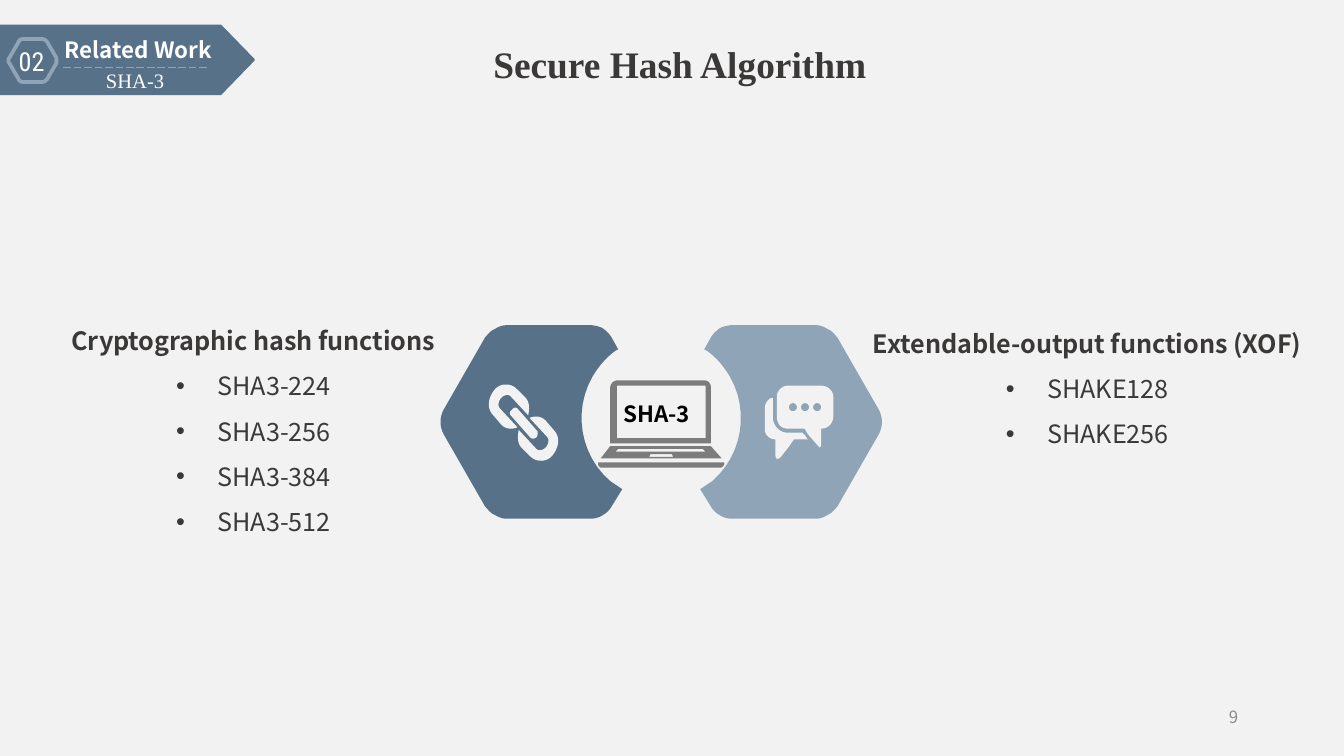
from dataclasses import dataclass
from math import cos, pi, sin
from typing import Callable, Optional

from lxml.etree import SubElement
from pptx import Presentation
from pptx.dml.color import RGBColor
from pptx.enum.dml import MSO_LINE
from pptx.enum.shapes import MSO_CONNECTOR, MSO_SHAPE
from pptx.enum.text import MSO_AUTO_SIZE, PP_ALIGN
from pptx.oxml.ns import qn
from pptx.util import Inches, Pt

Contour = list[tuple[float, ...]]
Placement = Callable[[float, float], tuple[float, float]]


@dataclass(frozen=True)
class Theme:
    background: str = "F2F2F2"
    dark_blue: str = "577188"
    light_blue: str = "8FA4B7"
    laptop: str = "7C7C7C"
    ink: str = "3B3838"
    black: str = "000000"
    white: str = "FFFFFF"
    page: str = "8C8C8C"
    sans: str = "Noto Sans CJK SC"
    serif: str = "Times New Roman"
    condensed: str = "Roboto Condensed"
    bullet: str = "Arial"
    title_size: float = 20
    number_size: float = 14
    list_size: float = 13.5
    label_size: float = 12
    section_size: float = 11
    page_size: float = 9


THEME = Theme()


@dataclass(frozen=True)
class Label:
    text: str
    box: tuple[float, float, float, float]
    size: float
    font: str = THEME.sans
    color: str = THEME.white
    bold: bool = False
    align: PP_ALIGN = PP_ALIGN.CENTER
    wrap: bool = True
    items: tuple[str, ...] = ()


@dataclass(frozen=True)
class Drawing:
    contours: list[Contour]
    fill: Optional[str] = None
    line: Optional[str] = None
    place: Placement = lambda x, y: (x, y)


def mirror(x: float, y: float) -> tuple[float, float]:
    return 9.84 - x, y


def half_turn(x: float, y: float) -> tuple[float, float]:
    return 7.79 - x, 6.29 - y


def polygon(*points: tuple[float, float]) -> Contour:
    return list(points)


def rectangle(left: float, top: float, right: float, bottom: float) -> Contour:
    return polygon((left, top), (right, top), (right, bottom), (left, bottom))


def circle(x: float, y: float, radius: float, steps: int = 24) -> Contour:
    angles = [2 * pi * step / steps for step in range(steps)]
    return [(x + radius * cos(angle), y + radius * sin(angle)) for angle in angles]


def flatten(contour: Contour, steps: int = 12) -> list[tuple[float, float]]:
    points = [contour[0]]
    for segment in contour[1:]:
        if len(segment) == 2:
            points.append(segment)
            continue
        controls = [points[-1], segment[:2], segment[2:4], segment[4:]]
        for step in range(1, steps + 1):
            t = step / steps
            weights = ((1 - t) ** 3, 3 * t * (1 - t) ** 2, 3 * t * t * (1 - t), t ** 3)
            points.append(tuple(sum(w * p[axis] for w, p in zip(weights, controls)) for axis in (0, 1)))
    return points


def draw(slide, drawing: Drawing) -> None:
    builder = None
    for contour in drawing.contours:
        placed = [drawing.place(x, y) for x, y in flatten(contour)]
        start, *rest = [(Inches(x), Inches(y)) for x, y in placed]
        if builder is None:
            builder = slide.shapes.build_freeform(*start, scale=1.0)
        else:
            builder.move_to(*start)
        builder.add_line_segments(rest, close=True)
    paint(builder.convert_to_shape(), drawing.fill, drawing.line, 2)


def paint(shape, fill: Optional[str], line: Optional[str], width: float) -> None:
    shape.shadow.inherit = False
    if fill:
        shape.fill.solid()
        shape.fill.fore_color.rgb = RGBColor.from_string(fill)
    else:
        shape.fill.background()
    if line:
        shape.line.color.rgb = RGBColor.from_string(line)
        shape.line.width = Pt(width)
    else:
        shape.line.fill.background()


def write(slide, label: Label) -> None:
    frame = slide.shapes.add_textbox(*map(Inches, label.box)).text_frame
    frame.word_wrap = label.wrap
    frame.auto_size = MSO_AUTO_SIZE.SHAPE_TO_FIT_TEXT
    for index, text in enumerate((label.text, *label.items)):
        paragraph = frame.add_paragraph() if index else frame.paragraphs[0]
        paragraph.alignment = label.align
        if index:
            properties = paragraph._p.get_or_add_pPr()
            properties.set("marL", str(Inches(0.31)))
            properties.set("indent", str(Inches(-0.31)))
            SubElement(properties, qn("a:buFont")).set("typeface", THEME.bullet)
            SubElement(properties, qn("a:buChar")).set("char", "•")
        if label.items:
            paragraph.line_spacing = 1.5
        run = paragraph.add_run()
        run.text = text
        run.font.name = label.font
        run.font.size = Pt(label.size)
        run.font.bold = label.bold and not index
        run.font.color.rgb = RGBColor.from_string(label.color)


def draw_banner(slide) -> None:
    banner = slide.shapes.add_shape(MSO_SHAPE.PENTAGON, *map(Inches, (0, 0.19, 1.89, 0.51)))
    banner.adjustments[0] = 0.485
    paint(banner, THEME.dark_blue, THEME.dark_blue, 1)
    draw(slide, Drawing([BADGE], line=THEME.light_blue))
    divider = slide.shapes.add_connector(MSO_CONNECTOR.STRAIGHT, *map(Inches, (0.47, 0.5, 1.56, 0.5)))
    divider.line.color.rgb = RGBColor.from_string(THEME.light_blue)
    divider.line.width = Pt(0.5)
    divider.line.dash_style = MSO_LINE.LONG_DASH
    SubElement(divider._element.spPr, qn("a:effectLst"))


BADGE = [(0.17, 0.29), (0.31, 0.29), (0.33, 0.29, 0.34, 0.3, 0.35, 0.31), (0.42, 0.43),
         (0.42, 0.44, 0.42, 0.46, 0.42, 0.47), (0.35, 0.59), (0.34, 0.6, 0.33, 0.61, 0.31, 0.61),
         (0.17, 0.61), (0.16, 0.61, 0.14, 0.6, 0.14, 0.59), (0.07, 0.47),
         (0.06, 0.46, 0.06, 0.44, 0.07, 0.43), (0.14, 0.31), (0.14, 0.3, 0.16, 0.29, 0.17, 0.29)]
HEXAGON = [(4.48, 2.44), (4.46, 2.43, 4.42, 2.42, 4.39, 2.42), (3.77, 2.42),
           (3.74, 2.42, 3.71, 2.43, 3.68, 2.45), (3.65, 2.46, 3.63, 2.49, 3.61, 2.51), (3.3, 3.05),
           (3.27, 3.11, 3.27, 3.17, 3.3, 3.23), (3.61, 3.77), (3.63, 3.79, 3.65, 3.82, 3.68, 3.83),
           (3.71, 3.85, 3.74, 3.86, 3.77, 3.86), (4.39, 3.86), (4.43, 3.86, 4.46, 3.85, 4.49, 3.83),
           (4.51, 3.82, 4.54, 3.79, 4.55, 3.77), (4.63, 3.64), (4.54, 3.58),
           (4.32, 3.39, 4.26, 3.06, 4.41, 2.8), (4.46, 2.72, 4.51, 2.66, 4.58, 2.61), (4.6, 2.6),
           (4.55, 2.51), (4.53, 2.48, 4.51, 2.46, 4.48, 2.44)]
LAPTOP_BASE = [(5.39, 3.44), (4.45, 3.44), (4.45, 3.47, 4.46, 3.48, 4.48, 3.48), (5.36, 3.48),
               (5.37, 3.48, 5.39, 3.47, 5.39, 3.44)]
LAPTOP_SCREEN = [(4.54, 3.3), (5.29, 3.3), (5.29, 2.89), (5.29, 2.85, 5.27, 2.83, 5.23, 2.83),
                 (4.6, 2.83), (4.57, 2.83, 4.54, 2.85, 4.54, 2.89)]
LAPTOP_KEYS = [polygon((5.29, 3.32), (4.54, 3.32), (4.47, 3.41), (5.37, 3.41)),
               polygon((4.83, 3.4), (4.84, 3.38), (5, 3.38), (5.01, 3.4)),
               polygon((4.58, 3.36), (4.6, 3.34), (5.23, 3.34), (5.25, 3.36))]
CHAIN_LINK = [(3.8, 2.95), (3.93, 3.09), (3.94, 3.04, 3.94, 2.99, 3.91, 2.96), (3.84, 2.89),
              (3.8, 2.85, 3.72, 2.85, 3.68, 2.9), (3.63, 2.96, 3.62, 3.04, 3.67, 3.09), (3.73, 3.16),
              (3.76, 3.19, 3.8, 3.2, 3.85, 3.18), (3.72, 3.04), (3.7, 3.02, 3.71, 2.98, 3.73, 2.96),
              (3.75, 2.94, 3.78, 2.93, 3.8, 2.95)]
CHAIN_PIN = [(4, 3.21), (4, 3.23), (4, 3.26, 3.97, 3.27, 3.95, 3.26), (3.8, 3.09),
             (3.79, 3.08, 3.79, 3.06, 3.81, 3.05), (3.82, 3.03, 3.84, 3.03, 3.85, 3.04)]
BACK_BUBBLE = [(5.97, 3.22), (5.86, 3.22), (5.8, 3.22, 5.75, 3.17, 5.75, 3.1), (5.75, 2.96),
               (5.72, 2.96, 5.69, 3, 5.69, 3.04), (5.69, 3.19), (5.69, 3.24, 5.73, 3.27, 5.77, 3.27),
               (5.77, 3.39), (5.77, 3.42, 5.79, 3.42, 5.81, 3.4), (5.88, 3.31),
               (5.89, 3.29, 5.9, 3.28, 5.91, 3.27), (6.01, 3.27), (5.99, 3.24)]
FRONT_BUBBLE = [(6.11, 2.87), (5.86, 2.87), (5.82, 2.87, 5.78, 2.91, 5.78, 2.95), (5.78, 3.1),
                (5.78, 3.15, 5.81, 3.19, 5.86, 3.19), (5.98, 3.19), (5.99, 3.19, 6, 3.21, 6.01, 3.23),
                (6.08, 3.31), (6.1, 3.34, 6.11, 3.33, 6.11, 3.3), (6.11, 3.19),
                (6.16, 3.19, 6.2, 3.15, 6.2, 3.1), (6.2, 2.95), (6.2, 2.91, 6.16, 2.87, 6.11, 2.87)]
BUBBLE_DOTS = [circle(5.9 + 0.09 * index, 3.03, 0.03) for index in range(3)]

DRAWINGS = (
    Drawing([HEXAGON], THEME.dark_blue),
    Drawing([HEXAGON], THEME.light_blue, place=mirror),
    Drawing([LAPTOP_BASE], THEME.laptop),
    Drawing([LAPTOP_SCREEN, rectangle(4.59, 2.87, 5.25, 3.26)], THEME.laptop),
    Drawing(LAPTOP_KEYS, THEME.laptop),
    Drawing([CHAIN_LINK], THEME.background),
    Drawing([CHAIN_LINK], THEME.background, place=half_turn),
    Drawing([CHAIN_PIN], THEME.background),
    Drawing([BACK_BUBBLE], THEME.background),
    Drawing([FRONT_BUBBLE, *BUBBLE_DOTS], THEME.background),
)

LABELS = (
    Label("SHA-3", (4.54, 2.93, 0.75, 0.3), THEME.label_size, color=THEME.black, bold=True,
          align=PP_ALIGN.LEFT, wrap=False),
    Label("Secure Hash Algorithm", (3.56, 0.26, 3, 0.44), THEME.title_size, THEME.serif, THEME.ink, True),
    Label("Cryptographic hash functions", (0.37, 2.26, 3.03, 2.15), THEME.list_size, color=THEME.ink,
          bold=True, wrap=False, items=tuple(f"SHA3-{bits}" for bits in (224, 256, 384, 512))),
    Label("Extendable-output functions (XOF)", (6.32, 2.28, 3.54, 1.35), THEME.list_size, color=THEME.ink,
          bold=True, wrap=False, items=("SHAKE128", "SHAKE256")),
    Label("Related Work", (0.24, 0.22, 1.58, 0.3), THEME.label_size, bold=True),
    Label("02", (0, 0.29, 0.47, 0.34), THEME.number_size, THEME.condensed),
    Label("SHA-3", (0.69, 0.46, 0.67, 0.29), THEME.section_size, THEME.serif, align=PP_ALIGN.LEFT),
    Label("9", (7.06, 5.21, 2.25, 0.3), THEME.page_size, color=THEME.page, align=PP_ALIGN.RIGHT),
)


def main() -> None:
    presentation = Presentation()
    presentation.slide_width = Inches(10)
    presentation.slide_height = Inches(10 * 9 / 16)
    slide = presentation.slides.add_slide(presentation.slide_layouts[6])
    slide.background.fill.solid()
    slide.background.fill.fore_color.rgb = RGBColor.from_string(THEME.background)
    for drawing in DRAWINGS:
        draw(slide, drawing)
    draw_banner(slide)
    for label in LABELS:
        write(slide, label)
    presentation.save("out.pptx")


if __name__ == "__main__":
    main()
